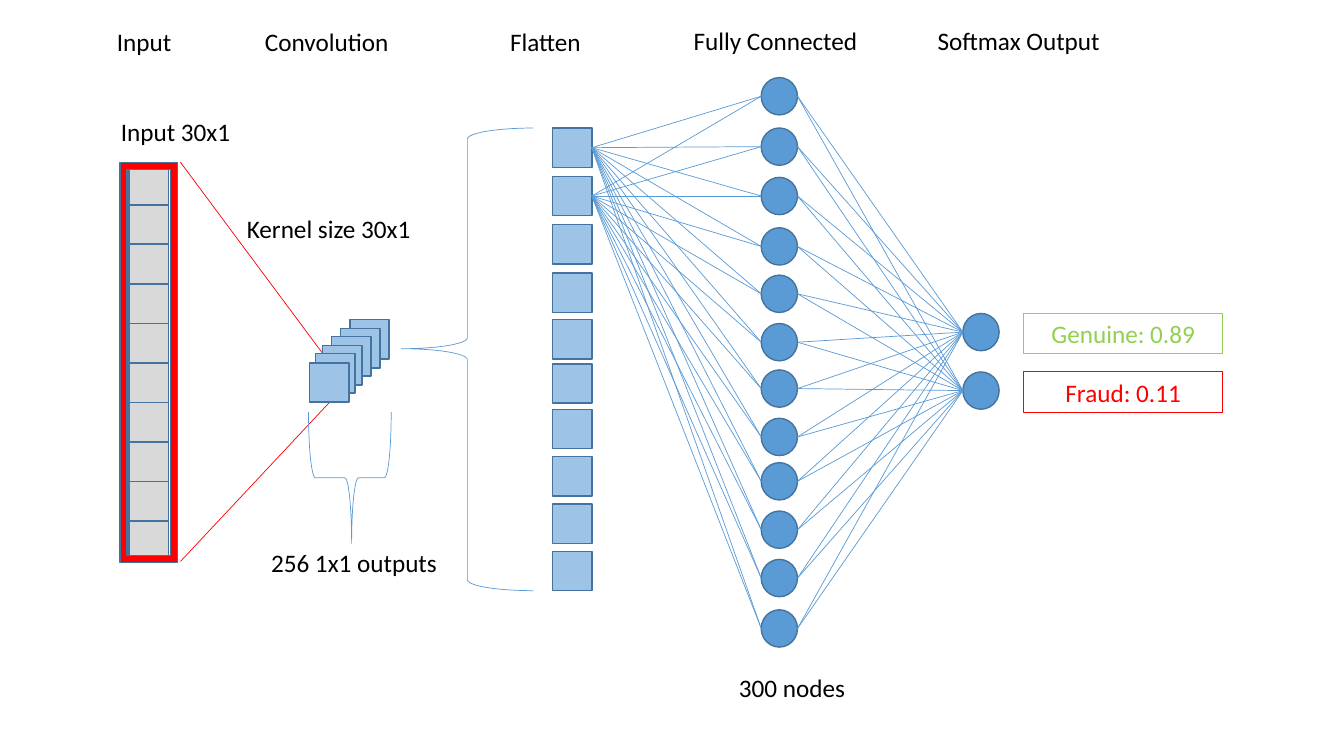
from itertools import product

from pptx import Presentation
from pptx.dml.color import RGBColor
from pptx.enum.shapes import MSO_CONNECTOR as Link, MSO_SHAPE as Shape
from pptx.enum.text import MSO_ANCHOR as Anchor, MSO_AUTO_SIZE as Fit, PP_ALIGN as Align
from pptx.oxml.ns import qn
from pptx.util import Inches, Pt
from lxml.etree import SubElement

BLUE, EDGE, PALE, GRAY = "5B9BD5", "43739E", "9DC3E6", "D9D9D9"
RED, GREEN, BLACK = "FF0000", "92D050", "000000"
SIDE, WIDE, HIGH = 0.39, 0.36, 0.37


def color(code):
    return RGBColor.from_string(code)


class Board:
    """Draws styled elements on one slide."""

    def __init__(self, slide, font="Calibri", size=18):
        self.shapes = slide.shapes
        self.font, self.size = font, size

    def shape(self, kind, box, fill=None, line=EDGE, width=1, home=None):
        item = (home or self.shapes).add_shape(kind, *map(Inches, box))
        item.shadow.inherit = False
        if fill:
            item.fill.solid()
            item.fill.fore_color.rgb = color(fill)
        else:
            item.fill.background()
        item.line.color.rgb = color(line)
        item.line.width = Pt(width)
        return item

    def column(self, left, tops, fill):
        group = self.shapes.add_group_shape()
        for top in tops:
            self.shape(Shape.RECTANGLE, (left, top, SIDE, SIDE), fill, home=group.shapes)

    def nodes(self, left, tops):
        for top in tops:
            self.shape(Shape.OVAL, (left, top, WIDE, HIGH), BLUE)

    def brace(self, box, turn, tip):
        item = self.shape(Shape.RIGHT_BRACE, box, line=BLUE, width=0.5)
        item.rotation = turn
        item.adjustments[0] = 0.083
        item.adjustments[1] = tip

    def line(self, start, end, tint=BLUE):
        item = self.shapes.add_connector(Link.STRAIGHT, *map(Inches, start + end))
        item.line.color.rgb = color(tint)
        item.line.width = Pt(0.5)
        props = item._element.find(qn("p:spPr"))
        SubElement(props, qn("a:effectLst"))

    def mesh(self, left, starts, right, ends):
        for start, end in product(starts, ends):
            self.line((left, start), (right, end))

    def letter(self, item, text, tint, align):
        frame = item.text_frame
        frame.text = text
        part = frame.paragraphs[0]
        part.alignment = align
        font = part.runs[0].font
        font.name, font.size = self.font, Pt(self.size)
        font.color.rgb = color(tint)

    def label(self, text, box, wrap=False):
        item = self.shapes.add_textbox(*map(Inches, box))
        item.text_frame.word_wrap = wrap
        item.text_frame.auto_size = Fit.SHAPE_TO_FIT_TEXT
        self.letter(item, text, BLACK, Align.LEFT)

    def result(self, text, top, tint):
        item = self.shape(Shape.RECTANGLE, (10.15, top, 1.98, 0.4), line=tint, width=0.75)
        item.text_frame.vertical_anchor = Anchor.TOP
        self.letter(item, text, tint, Align.CENTER)


def main():
    deck = Presentation()
    deck.slide_width, deck.slide_height = Inches(13.33), Inches(7.5)
    board = Board(deck.slides.add_slide(deck.slide_layouts[6]))

    flat = [1.27, 1.75, 2.23, 2.71, 3.17, 3.61, 4.06, 4.53, 5, 5.47]
    dense = [0.77, 1.27, 1.76, 2.26, 2.73, 3.21, 3.67, 4.15, 4.59, 5.07, 5.55, 6.05]
    final = [3.11, 3.69]
    stack = [(3.47, 3.17), (3.38, 3.26), (3.29, 3.34), (3.2, 3.43), (3.13, 3.51), (3.07, 3.6)]

    def maps(spots):
        for left, top in spots:
            board.shape(Shape.RECTANGLE, (left, top, SIDE, SIDE), PALE)

    maps(stack[:3])
    board.column(1.28, [1.64 + 3.53 * row / 9 for row in range(10)], GRAY)
    board.shape(Shape.FRAME, (1.19, 1.61, 0.57, 3.97), RED)
    board.line((1.79, 1.61), (3.27, 3.6), RED)
    board.line((1.79, 5.57), (3.27, 3.99), RED)
    maps(stack[3:])
    board.brace((2.82, 4.33, 1.3, 0.82), 90, 0.479)
    board.brace((3.98, 1.27, 1.31, 4.59), 180, 0.523)

    board.column(5.48, flat, PALE)
    board.nodes(7.55, dense)
    mids = [top + HIGH / 2 for top in dense]
    board.mesh(5.87, [top + SIDE / 2 for top in flat[:2]], 7.55, mids)
    board.nodes(9.55, final)
    board.mesh(7.91, mids, 9.55, [top + HIGH / 2 for top in final])
    board.result("Genuine: 0.89", final[0], GREEN)
    board.result("Fraud: 0.11", final[1], RED)

    for text, left, top, width, wrap in [
        ("Input", 1.06, 0.21, 0.75, False),
        ("Convolution", 2.53, 0.21, 1.44, False),
        ("Flatten", 4.96, 0.21, 0.92, False),
        ("Fully Connected", 6.78, 0.2, 1.95, True),
        ("Softmax Output", 9.2, 0.2, 1.95, True),
        ("Input 30x1", 1.1, 1.1, 1.3, False),
        ("Kernel size 30x1", 2.35, 2.07, 1.84, False),
        ("256 1x1 outputs", 2.59, 5.38, 1.87, False),
        ("300 nodes", 7.23, 6.62, 1.36, True),
    ]:
        board.label(text, (left, top, width, 0.4), wrap)

    deck.save("out.pptx")


if __name__ == "__main__":
    main()
